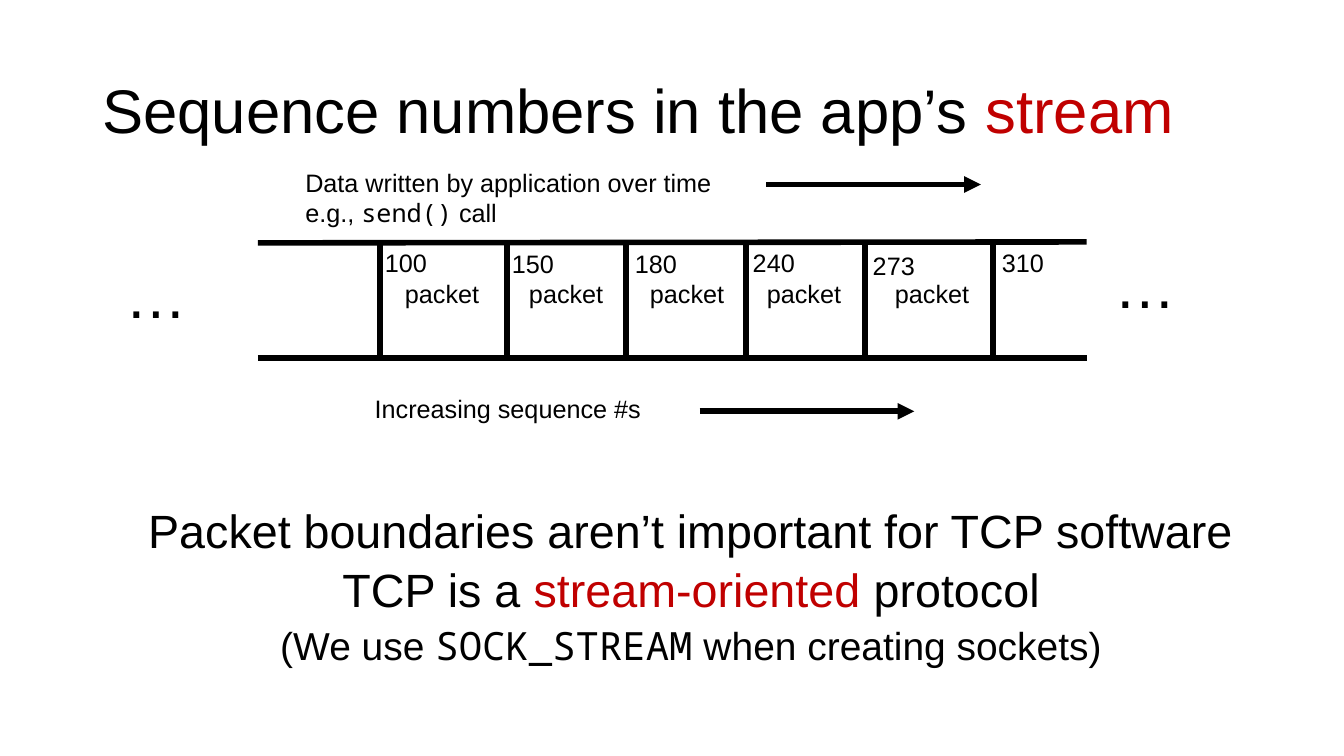
from lxml.etree import SubElement
from pptx import Presentation
from pptx.dml.color import RGBColor
from pptx.enum.shapes import MSO_CONNECTOR
from pptx.enum.text import MSO_ANCHOR, PP_ALIGN
from pptx.oxml.ns import qn
from pptx.util import Pt

BLACK = "000000"
RED = "C00000"
SANS = "Arial"
MONO = "Noto Sans Mono"


def color(value):
    return RGBColor.from_string(value)


class StreamSlide:
    label_size = 18
    line_width = 4

    def __init__(self, deck):
        self.slide = deck.slides.add_slide(deck.slide_layouts[6])
        self.slide.background.fill.solid()
        self.slide.background.fill.fore_color.rgb = color("FFFFFF")

    def text(self, left, top, width, height, paragraphs, size=label_size,
             align=PP_ALIGN.LEFT, anchor=MSO_ANCHOR.TOP, spacing=1.0, before=0):
        box = self.slide.shapes.add_textbox(Pt(left), Pt(top), Pt(width), Pt(height))
        frame = box.text_frame
        frame.word_wrap = True
        frame.vertical_anchor = anchor
        for index, runs in enumerate(paragraphs):
            paragraph = frame.paragraphs[0] if index == 0 else frame.add_paragraph()
            paragraph.alignment = align
            paragraph.line_spacing = spacing
            paragraph.space_before = Pt(before)
            for words, style in runs:
                run = paragraph.add_run()
                run.text = words
                run.font.size = Pt(style.get("size", size))
                run.font.name = style.get("font", SANS)
                run.font.color.rgb = color(style.get("color", BLACK))

    def label(self, left, top, width, words, size=label_size, height=29):
        self.text(left, top, width, height, [[(words, {})]], size)

    def line(self, start, end, arrow=False):
        connector = self.slide.shapes.add_connector(
            MSO_CONNECTOR.STRAIGHT, *map(Pt, (*start, *end)))
        connector.line.color.rgb = color(BLACK)
        connector.line.width = Pt(self.line_width)
        if arrow:
            SubElement(connector.line._get_or_add_ln(), qn("a:tailEnd"), type="triangle")
        SubElement(connector._element.spPr, qn("a:effectLst"))

    def arrow(self, left, top, length):
        self.line((left, top), (left + length, top), arrow=True)


def main():
    deck = Presentation()
    deck.slide_width, deck.slide_height = Pt(960), Pt(540)
    page = StreamSlide(deck)

    page.text(66, 28.8, 828, 104.4,
              [[("Sequence numbers in the app’s ", {}), ("stream", {"color": RED})]],
              size=44, anchor=MSO_ANCHOR.MIDDLE, spacing=0.9)

    small = {"size": 27.8}
    page.text(66, 363, 855.4, 123, [
        [("Packet boundaries aren’t important for TCP software", {})],
        [("TCP is a ", {}), ("stream-oriented ", {"color": RED}), ("protocol", {})],
        [("(We use ", small), ("SOCK_STREAM", {**small, "font": MONO}),
         (" when creating sockets)", small)],
    ], size=33.3, align=PP_ALIGN.CENTER, spacing=0.8, before=10)

    page.label(260.6, 277.2, 314.6, "Increasing sequence #s")
    page.arrow(499.7, 293.8, 153.4)
    page.text(211, 115.9, 414.7, 72.7, [
        [("Data written by application over time", {})],
        [("e.g., ", {}), ("send()", {"font": MONO}), (" call", {})],
    ])
    page.arrow(547.2, 131.8, 153.4)

    stream_left, stream_right = 184.3, 776.2
    stream_top, stream_bottom = 173.5, 255.6
    page.line((stream_left, stream_top), (stream_right, 172.8))
    page.line((stream_left, stream_bottom), (stream_right, stream_bottom))

    boundaries = [
        ("100", 271.4, 267.8, 172.8, 282.2),
        ("150", 362.2, 358.6, 173.5, 370.8),
        ("180", 447.1, 446.4, 173.5, 457.2),
        ("240", 532.8, 530.6, 173.2, 540.7),
        ("273", 617.8, 616.3, 175, 632.2),
        ("310", 709.2, 708.5, 173.2, None),
    ]
    for sequence, boundary, number_left, number_top, packet_left in boundaries:
        page.line((boundary, stream_top), (boundary, stream_bottom))
        page.label(number_left, number_top, 51.1, sequence)
        if packet_left is not None:
            page.label(packet_left, 195.5, 69.1, "packet")

    for ellipsis_left, ellipsis_top in ((82.8, 180), (789.1, 172.8)):
        page.label(ellipsis_left, ellipsis_top, 87.8, "…", size=44, height=60.5)

    deck.save("out.pptx")


if __name__ == "__main__":
    main()
